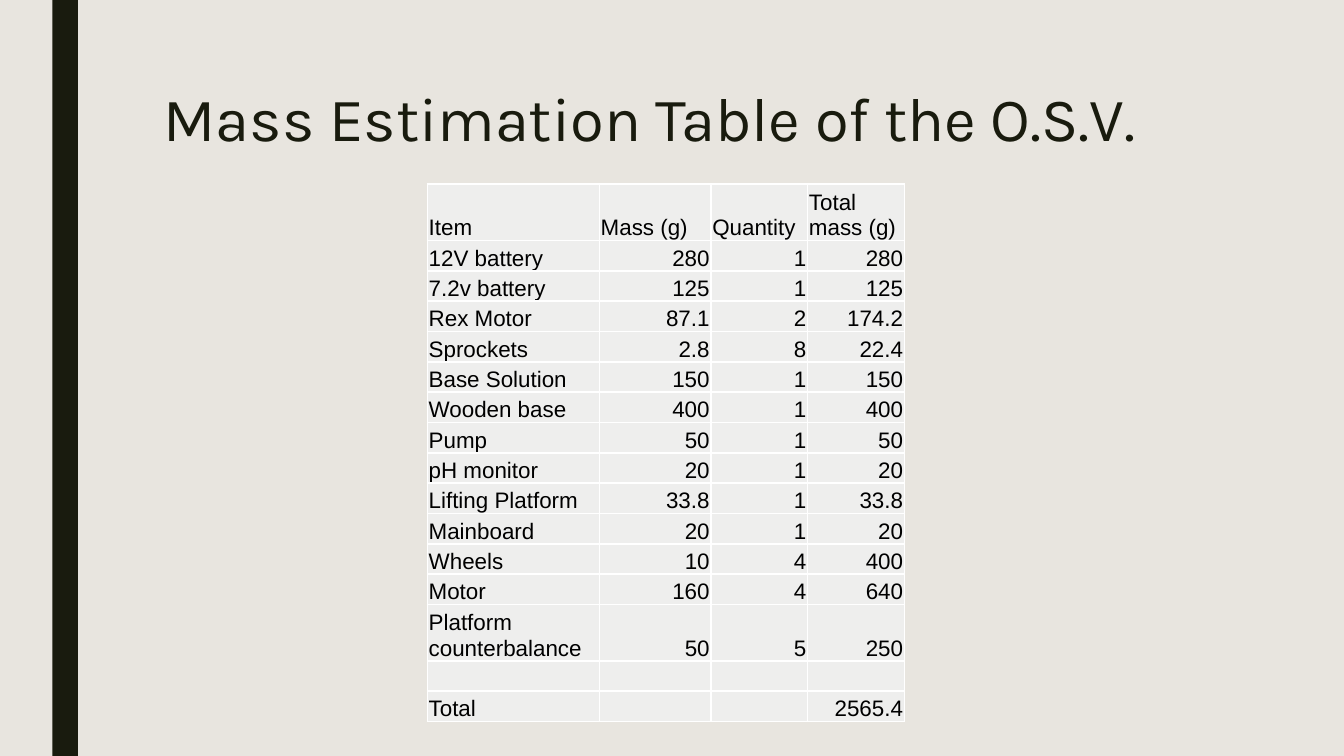
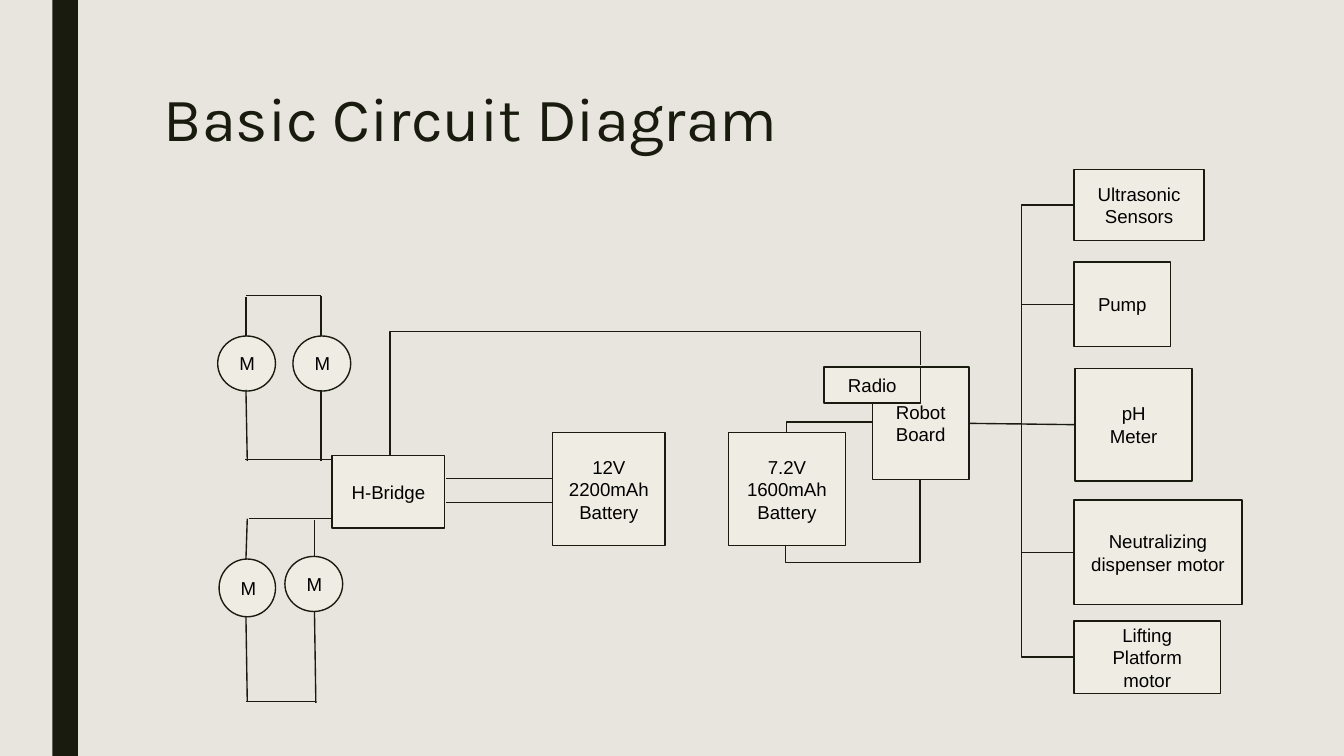
"""Build two slides: a mass estimation table and a basic circuit diagram."""
import lxml.etree
import pptx
import pptx.dml.color
import pptx.enum.shapes
import pptx.enum.text
import pptx.oxml.ns
import pptx.util

PX = 9144
SAND = pptx.dml.color.RGBColor(0xE8, 0xE5, 0xDF)
DARK = pptx.dml.color.RGBColor(0x19, 0x1B, 0x0E)
CREAM = pptx.dml.color.RGBColor(0xEF, 0xED, 0xE3)
PALE = pptx.dml.color.RGBColor(0xEE, 0xEE, 0xED)
BLACK = pptx.dml.color.RGBColor(0, 0, 0)
FORM = pptx.enum.shapes.MSO_SHAPE
LINK = pptx.enum.shapes.MSO_CONNECTOR
ALIGN = pptx.enum.text.PP_ALIGN
ANCHOR = pptx.enum.text.MSO_ANCHOR
qn = pptx.oxml.ns.qn
add = lxml.etree.SubElement


def style(para, size, face="Arial", color=BLACK, align=ALIGN.LEFT):
    para.alignment = align
    para.font.size = pptx.util.Pt(size)
    para.font.name = face
    para.font.color.rgb = color


def wire(slide, kind, *ends):
    line = slide.shapes.add_connector(kind, *[n * PX for n in ends])
    line.line.color.rgb = DARK
    line.line.width = pptx.util.Pt(0.75)
    add(line._element.spPr, qn("a:effectLst"))
    return line


deck = pptx.Presentation()
deck.slide_width = 1000 * PX
deck.slide_height = deck.slide_width * 9 // 16

slides = []
for title in ("Mass Estimation Table of the O.S.V.", "Basic Circuit Diagram"):
    slide = deck.slides.add_slide(deck.slide_layouts[6])
    slide.background.fill.solid()
    slide.background.fill.fore_color.rgb = SAND
    band = slide.shapes.add_shape(FORM.RECTANGLE, 39 * PX, 0, 19 * PX, deck.slide_height)
    band.shadow.inherit = False
    band.fill.solid()
    band.fill.fore_color.rgb = DARK
    band.line.fill.background()
    head = slide.shapes.add_textbox(112 * PX, 56 * PX, 788 * PX, 122 * PX).text_frame
    head.word_wrap = True
    head.margin_left = head.margin_right = head.margin_top = head.margin_bottom = 10 * PX
    head.text = title
    head.paragraphs[0].line_spacing = 0.89
    style(head.paragraphs[0], 33, "Karla", DARK)
    slides.append(slide)
mass, plan = slides

ROWS = [
    ("Item", "Mass (g)", "Quantity", "Total mass (g)"),
    ("12V battery", "280", "1", "280"),
    ("7.2v battery", "125", "1", "125"),
    ("Rex Motor", "87.1", "2", "174.2"),
    ("Sprockets", "2.8", "8", "22.4"),
    ("Base Solution", "150", "1", "150"),
    ("Wooden base", "400", "1", "400"),
    ("Pump", "50", "1", "50"),
    ("pH monitor", "20", "1", "20"),
    ("Lifting Platform", "33.8", "1", "33.8"),
    ("Mainboard", "20", "1", "20"),
    ("Wheels", "10", "4", "400"),
    ("Motor", "160", "4", "640"),
    ("Platform counterbalance", "50", "5", "250"),
    ("", "", "", ""),
    ("Total", "", "", "2565.4"),
]
TALL = (0, 13)
table = mass.shapes.add_table(len(ROWS), 4, 318 * PX, 137 * PX, 355 * PX, 400 * PX).table
table.first_row = table.horz_banding = False
for col, width in zip(table.columns, (128, 83, 72, 72)):
    col.width = width * PX
low = (400 - 42 * len(TALL)) * PX // (len(ROWS) - len(TALL))
for r, row in enumerate(ROWS):
    table.rows[r].height = 42 * PX if r in TALL else low
    for c, text in enumerate(row):
        cell = table.cell(r, c)
        cell.text = text
        cell.vertical_anchor = ANCHOR.BOTTOM
        cell.margin_left = cell.margin_right = cell.margin_top = PX
        cell.margin_bottom = 0
        para = cell.text_frame.paragraphs[0]
        style(para, 12, align=ALIGN.RIGHT if r and c else ALIGN.LEFT)
        if not text:
            add(para._p, qn("a:endParaRPr"), sz="1200")
        for side in ("a:lnL", "a:lnR", "a:lnT", "a:lnB"):
            edge = add(cell._tc.get_or_add_tcPr(), qn(side), w="12700")
            add(add(edge, qn("a:solidFill")), qn("a:srgbClr"), val="FFFFFF")
        cell.fill.solid()
        cell.fill.fore_color.rgb = PALE

BOXES = [
    ("pH\nMeter", 800, 274, 87, 84),
    ("Neutralizing dispenser motor", 799, 372, 125, 78),
    ("Lifting Platform motor", 799, 462, 109, 54),
    ("Pump", 799, 195, 72, 63),
    ("Ultrasonic Sensors", 799, 126, 97, 53),
    ("Robot\nBoard", 649, 273, 72, 84),
    ("Radio", 613, 273, 72, 27),
    ("7.2V 1600mAh Battery", 542, 322, 87, 84),
    ("12V 2200mAh Battery", 411, 322, 84, 84),
    ("H-Bridge", 247, 339, 84, 54),
    ("M", 212, 414, 43, 41),
    ("M", 218, 250, 43, 41),
    ("M", 163, 416, 42, 43),
    ("M", 162, 250, 43, 41),
]
parts = []
for text, *spot in BOXES:
    wheel = text == "M"
    form = FORM.OVAL if wheel else FORM.RECTANGLE
    box = plan.shapes.add_shape(form, *[n * PX for n in spot])
    box.shadow.inherit = False
    box.fill.solid()
    box.fill.fore_color.rgb = CREAM
    box.line.color.rgb = DARK
    box.line.width = pptx.util.Pt(0.75)
    frame = box.text_frame
    frame.word_wrap = True
    frame.vertical_anchor = ANCHOR.MIDDLE
    frame.margin_left = frame.margin_right = frame.margin_top = frame.margin_bottom = 10 * PX
    frame.text = text
    for para in frame.paragraphs:
        style(para, 10, align=ALIGN.LEFT if wheel else ALIGN.CENTER)
    parts.append(box)
loads, (board, radio, cell, pack, bridge) = parts[:5], parts[5:10]

for load in loads:
    kind = LINK.STRAIGHT if load is loads[0] else LINK.ELBOW
    line = wire(plan, kind, 721, 315, 799, 315)
    line.begin_connect(board, 3)
    line.end_connect(load, 1)

BENDS = [
    (board, 1, cell, 0, (585, 314, 64, 8), 180, "0", "1", "bentConnector2", None),
    (cell, 2, board, 2, (610, 331, 49, 100), 270, "0", "0", "bentConnector3", -26700),
    (bridge, 0, board, 0, (454, 108, 67, 395), 90, "1", "1", "bentConnector3", 137500),
]
for first, out, last, into, spot, turn, fliph, flipv, name, bend in BENDS:
    line = wire(plan, LINK.ELBOW, 0, 0, 1, 1)
    line.begin_connect(first, out)
    line.end_connect(last, into)
    line.left, line.top, line.width, line.height = [n * PX for n in spot]
    props = line._element.spPr
    xfrm = props.find(qn("a:xfrm"))
    xfrm.set("rot", str(turn * 60000))
    xfrm.set("flipH", fliph)
    xfrm.set("flipV", flipv)
    geom = props.find(qn("a:prstGeom"))
    geom.set("prst", name)
    if bend:
        add(geom.find(qn("a:avLst")), qn("a:gd"), name="adj1", fmla=f"val {bend}")

WIRES = [
    (411, 356, 332, 356), (411, 374, 332, 374),
    (234, 455, 235, 523), (183, 459, 184, 522), (183, 522, 235, 522),
    (247, 386, 185, 386), (234, 414, 234, 387), (183, 416, 184, 386),
    (239, 290, 239, 343), (183, 290, 184, 343), (247, 342, 182, 342),
    (183, 250, 183, 221), (239, 250, 239, 220), (183, 220, 239, 220),
]
for ends in WIRES:
    wire(plan, LINK.STRAIGHT, *ends)

deck.save("out.pptx")
